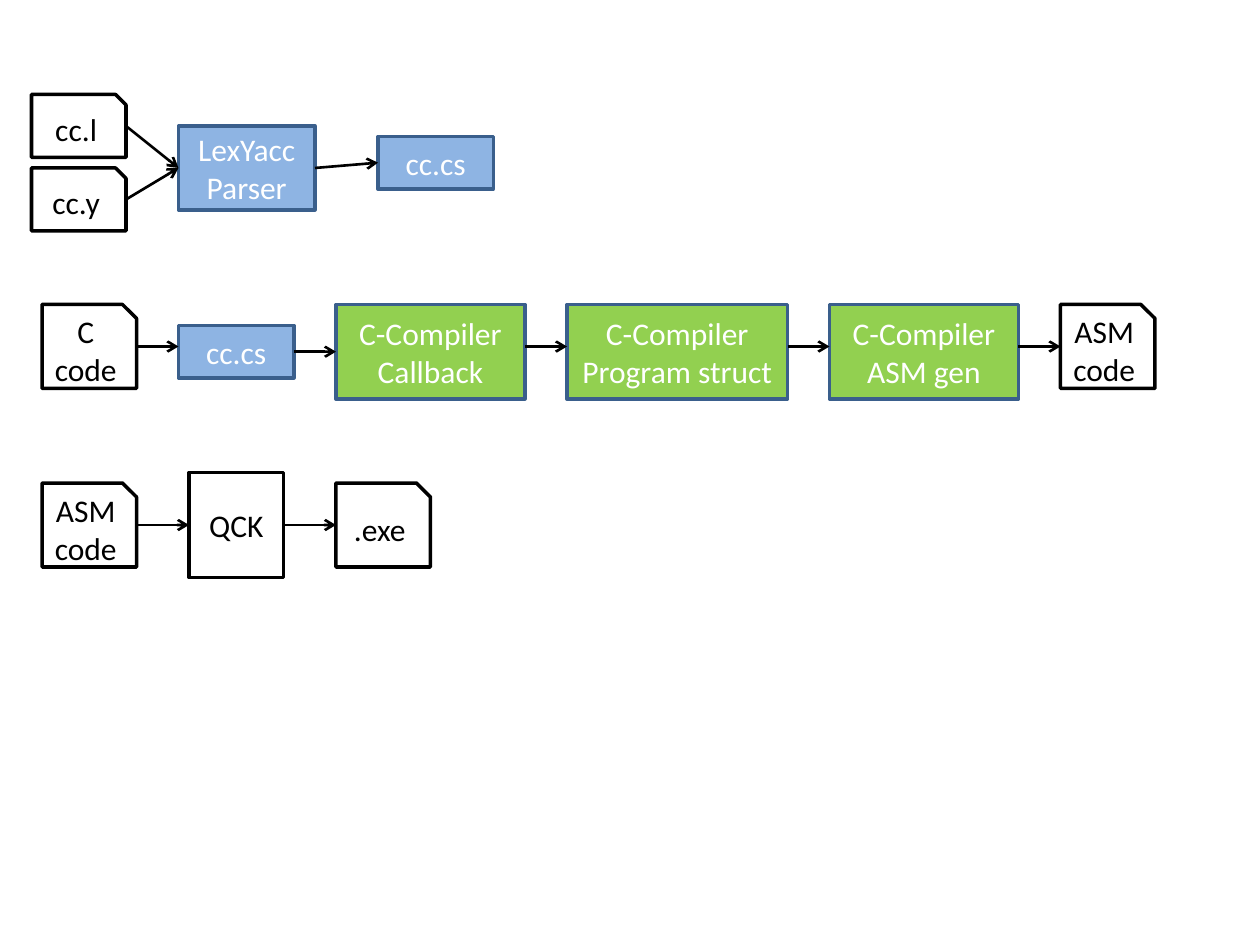
from pptx import Presentation
from pptx.dml.color import RGBColor
from pptx.enum.shapes import MSO_CONNECTOR, MSO_SHAPE
from pptx.enum.text import MSO_ANCHOR, PP_ALIGN
from pptx.oxml.ns import qn
from pptx.util import Pt
from lxml.etree import SubElement

PX = 9525  # EMU per px, 96 px to the inch
THEME = {
    "font": "Calibri", "size": Pt(18), "border": Pt(2), "arrow": Pt(1.5),
    "black": RGBColor(0x00, 0x00, 0x00), "white": RGBColor(0xFF, 0xFF, 0xFF),
    "blue": RGBColor(0x8E, 0xB4, 0xE3), "green": RGBColor(0x92, 0xD0, 0x50),
    "edge": RGBColor(0x3A, 0x5F, 0x8C),
}
FILE, RECT = MSO_SHAPE.SNIP_1_RECTANGLE, MSO_SHAPE.RECTANGLE

prs = Presentation()
prs.slide_width, prs.slide_height = 960 * PX, 720 * PX
s = prs.slides.add_slide(prs.slide_layouts[6])

# Boxes: name -> (shape, fill, left, top, width, height, text)
boxes = {
    # Generating the parser
    "lex": (FILE, None, 24, 72, 72, 48, "cc.l"),
    "yacc": (FILE, None, 24, 128, 72, 48, "cc.y"),
    "parser": (RECT, "blue", 136, 96, 104, 64, "LexYacc Parser"),
    "generated": (RECT, "blue", 288, 104, 88, 40, "cc.cs"),
    # Compiling C to assembly
    "c_code": (FILE, None, 32, 232, 72, 64, "C code"),
    "cc": (RECT, "blue", 136, 248, 88, 40, "cc.cs"),
    "callback": (RECT, "green", 256, 232, 144, 72, "C-Compiler\nCallback"),
    "struct": (RECT, "green", 432, 232, 168, 72, "C-Compiler\nProgram struct"),
    "asm_gen": (RECT, "green", 632, 232, 144, 72, "C-Compiler\nASM gen"),
    "asm_out": (FILE, None, 808, 232, 72, 64, "ASM\ncode"),
    # Assembling the executable
    "asm_in": (FILE, None, 32, 368, 72, 64, "ASM\ncode"),
    "exe": (FILE, None, 256, 368, 72, 64, ".exe"),
    "assembler": (RECT, None, 144, 360, 72, 80, "QCK"),
}
for kind, fill, x, y, w, h, text in boxes.values():
    sp = s.shapes.add_shape(kind, x * PX, y * PX, w * PX, h * PX)
    sp.shadow.inherit = False
    if fill:
        sp.fill.solid()
        sp.fill.fore_color.rgb = THEME[fill]
    else:
        sp.fill.background()
    sp.line.color.rgb = THEME["edge" if fill else "black"]
    sp.line.width = THEME["border"]
    tf = sp.text_frame
    tf.word_wrap = True
    tf.vertical_anchor = MSO_ANCHOR.MIDDLE
    p = tf.paragraphs[0]
    p.alignment = PP_ALIGN.CENTER
    for i, line in enumerate(text.split("\n")):
        if i:
            p.add_line_break()
        r = p.add_run()
        r.text = line
        r.font.name, r.font.size = THEME["font"], THEME["size"]
        r.font.color.rgb = THEME["white" if fill else "black"]

# Arrows: right edge of source at y1 to left edge of target at y2
arrows = [
    ("lex", "parser", 96, 128),
    ("yacc", "parser", 152, 128),
    ("parser", "generated", 128, 124),
    ("cc", "callback", 268, 268),
    ("callback", "struct", 264, 264),
    ("struct", "asm_gen", 264, 264),
    ("asm_gen", "asm_out", 264, 264),
    ("c_code", "cc", 264, 264),
    ("asm_in", "assembler", 400, 400),
    ("assembler", "exe", 400, 400),
]
for source, target, y1, y2 in arrows:
    x1 = boxes[source][2] + boxes[source][4]
    x2 = boxes[target][2]
    cx = s.shapes.add_connector(MSO_CONNECTOR.STRAIGHT, x1 * PX, y1 * PX, x2 * PX, y2 * PX)
    cx.line.color.rgb = THEME["black"]
    cx.line.width = THEME["arrow"]
    SubElement(cx.line._get_or_add_ln(), qn("a:tailEnd"), type="arrow")
    SubElement(cx._element.spPr, qn("a:effectLst"))

prs.save("out.pptx")
